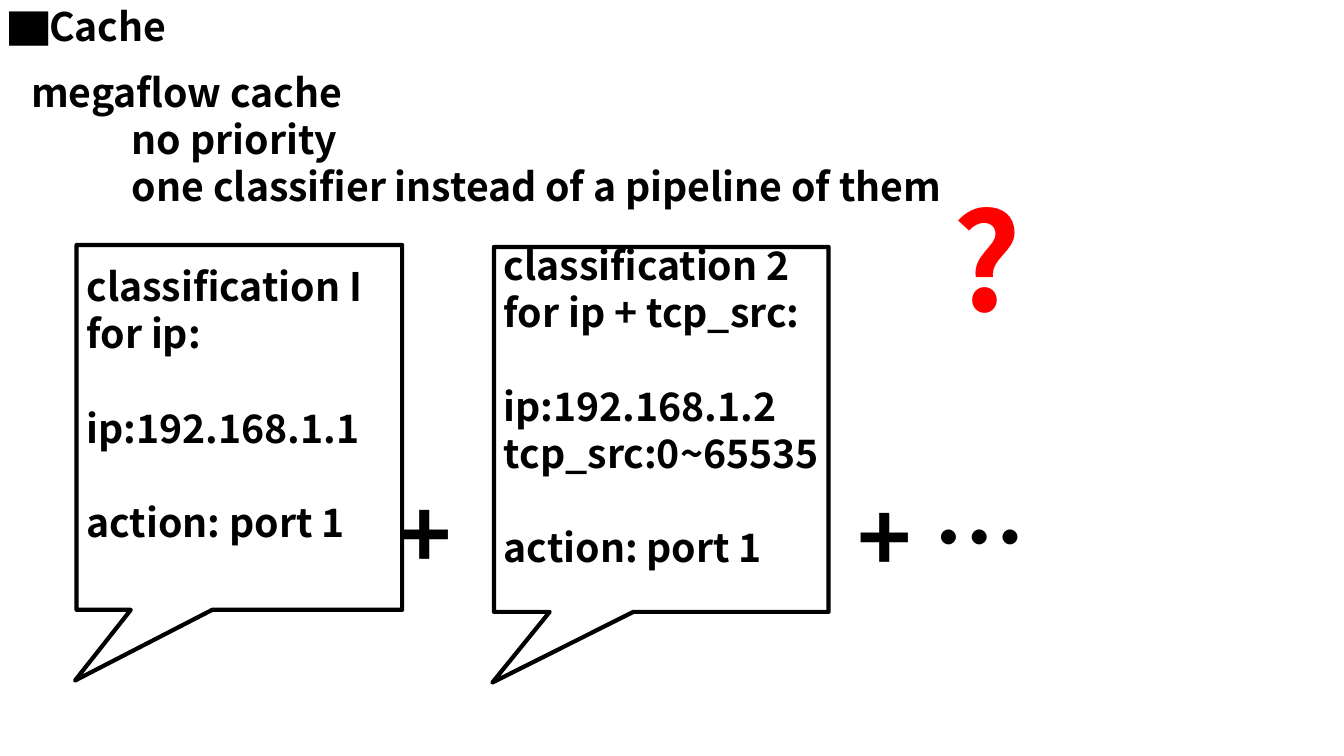
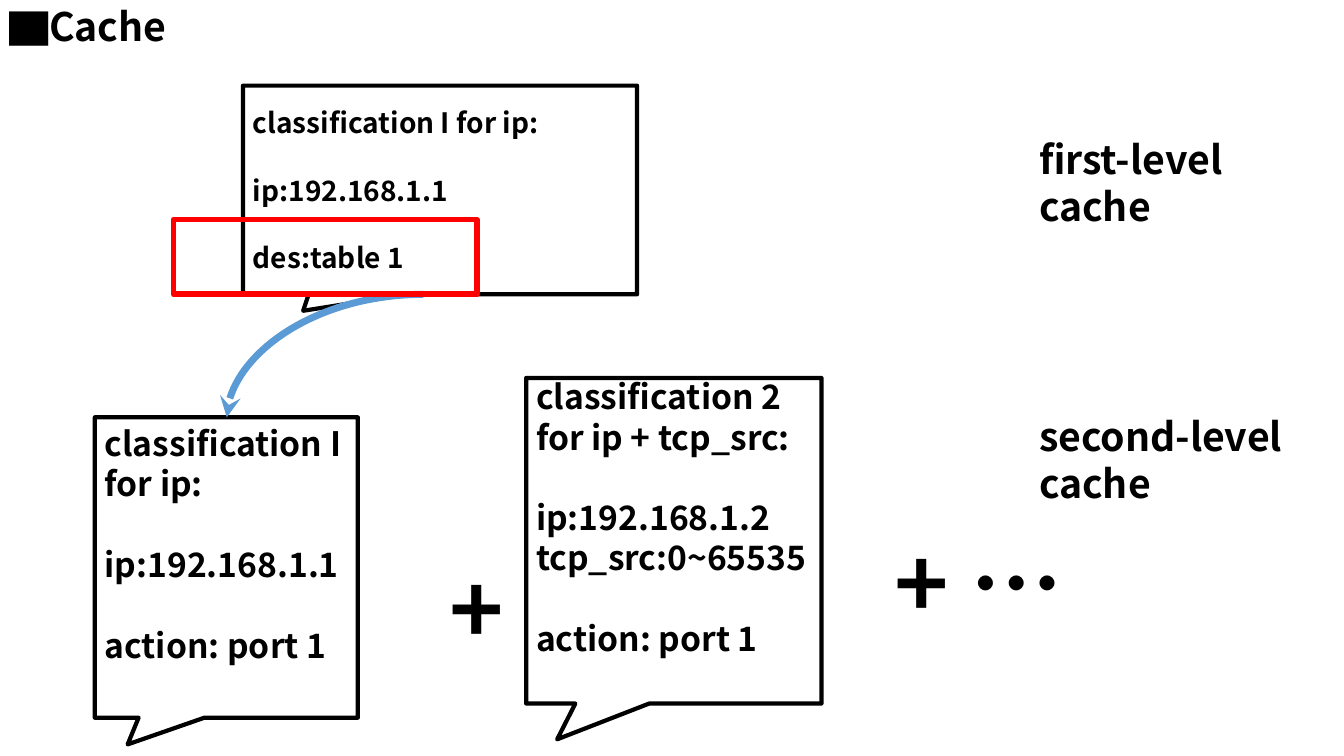
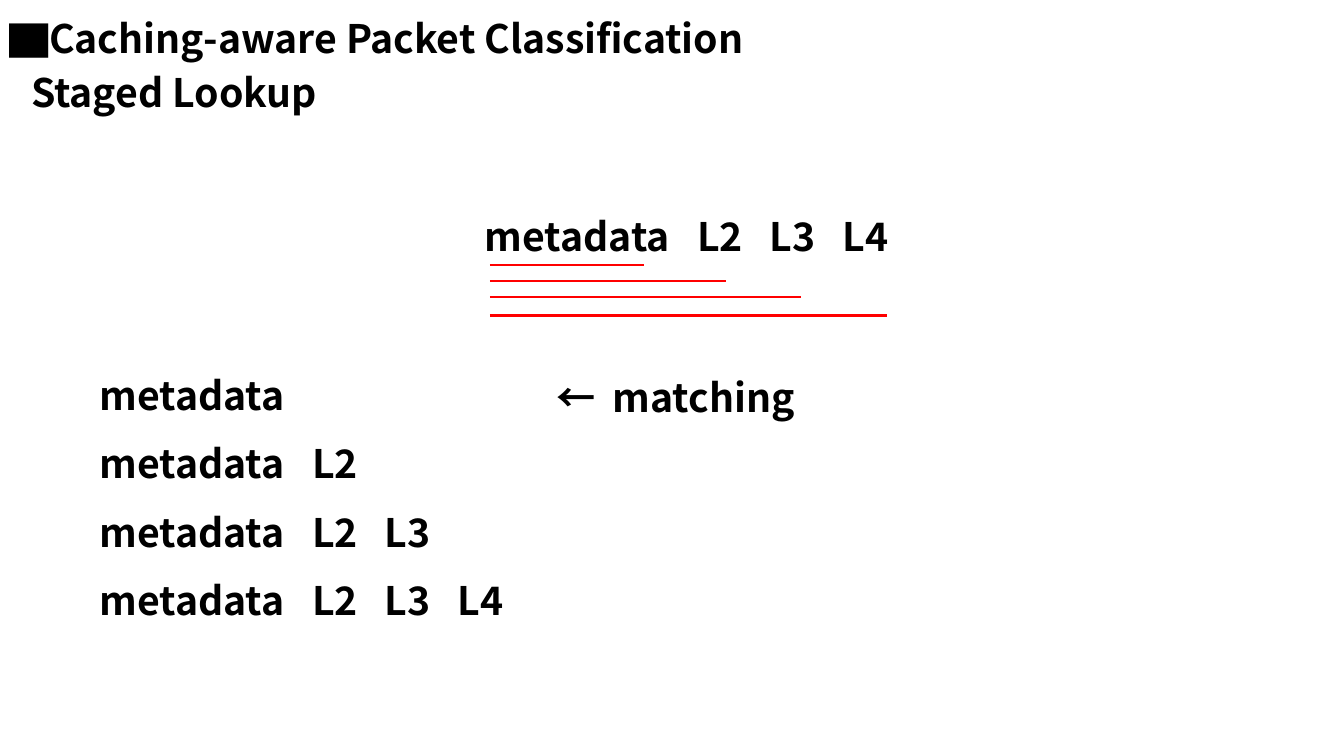
from pptx import Presentation
from pptx.dml.color import RGBColor
from pptx.enum.dml import MSO_LINE
from pptx.enum.shapes import MSO_CONNECTOR, MSO_SHAPE
from pptx.enum.text import MSO_ANCHOR, MSO_AUTO_SIZE, PP_ALIGN
from pptx.oxml.ns import qn
from pptx.util import Inches, Pt
from lxml.etree import SubElement

COLOR = {"ink": "000000", "paper": "FFFFFF", "alert": "FF0000", "arrow": "5B9BD5"}
FONT = "Noto Sans CJK SC"
LEAD = 1.2  # line height as a share of the text size
BODY = 28
STAGES = ["metadata", "L2", "L3", "L4"]
STOPS = [21.1 + 7.2 * i for i in range(3)]

# Callout texts; None marks an open line
FIRST = ["classification I for ip:", None, "ip:192.168.1.1", None, "action: port 1"]
SECOND = ["classification 2 for ip + tcp_src:", None, "ip:192.168.1.2",
          "tcp_src:0~65535", None, "action: port 1"]
JUMP = FIRST[:-1] + ["des:table 1"]


def cell(*counts):
    """Turn columns or rows of the 0.1 inch slide grid into lengths."""
    return [Inches(n / 10) for n in counts]


def rgb(name):
    return RGBColor.from_string(COLOR[name])


def style(para, size, color="ink", indent=0, stops=()):
    """Set the font, left indent and tab stops of a paragraph."""
    font = para.font
    font.name, font.size, font.bold = FONT, Pt(size), True
    font.color.rgb = rgb(color)
    props = para._p.get_or_add_pPr()
    base = props.find(qn("a:defRPr"))
    SubElement(base, qn("a:ea"), typeface=FONT)
    if indent:
        props.set("marL", str(cell(indent)[0]))
        props.set("indent", "0")
    if stops:
        tabs = SubElement(props, qn("a:tabLst"))
        for stop in cell(*stops):
            SubElement(tabs, qn("a:tab"), pos=str(stop), algn="l")
        base.addprevious(tabs)


def write(frame, lines, size):
    """Fill a frame, with one line of space in place of each None."""
    gap, para = False, None
    for line in lines:
        if line is None:
            gap = True
            continue
        para = frame.add_paragraph() if para is not None else frame.paragraphs[0]
        para.text = line
        para.alignment = PP_ALIGN.LEFT
        if gap:
            para.space_before = Pt(size * LEAD)
        gap = False
        yield para


def label(slide, box, lines, size=BODY, color="ink", indents=(), stops=()):
    frame = slide.shapes.add_textbox(*cell(*box)).text_frame
    frame.word_wrap = True
    frame.auto_size = MSO_AUTO_SIZE.SHAPE_TO_FIT_TEXT
    for i, para in enumerate(write(frame, lines, size)):
        style(para, size, color, indents[i] if indents else 0, stops)


def outline(slide, kind, box, color, width, fill=None):
    shape = slide.shapes.add_shape(kind, *cell(*box))
    shape.shadow.inherit = False
    if fill:
        shape.fill.solid()
        shape.fill.fore_color.rgb = rgb(fill)
    else:
        shape.fill.background()
    shape.line.color.rgb = rgb(color)
    shape.line.width = Pt(width)
    return shape


def callout(slide, box, lines, size, tip, foot=BODY):
    """Speech box; foot is the text size of the line kept free below."""
    shape = outline(slide, MSO_SHAPE.RECTANGULAR_CALLOUT, box, "ink", 3, "paper")
    shape.adjustments[0], shape.adjustments[1] = tip
    frame = shape.text_frame
    frame.word_wrap = True
    frame.vertical_anchor = MSO_ANCHOR.MIDDLE
    frame.margin_bottom = Inches(0.05) + Pt(foot * LEAD)
    for para in write(frame, lines, size):
        style(para, size)


def link(slide, kind, ends, color, width):
    line = slide.shapes.add_connector(kind, *cell(*ends))
    line.line.color.rgb = rgb(color)
    line.line.width = Pt(width)
    line.line.dash_style = MSO_LINE.SOLID
    SubElement(line._element.spPr, qn("a:effectLst"))
    return line


def page(deck, title, top=-0.3, width=35.3):
    slide = deck.slides.add_slide(deck.slide_layouts[6])
    label(slide, (0, top, width, 5.7), ["▇" + title])
    return slide


def chain(slide, plus, more):
    """Plus signs that join the callouts into an open row."""
    label(slide, (*plus, 6.2, 12.1), ["+"], 66)
    label(slide, (*more, 20.6, 12.1), ["+ …"], 66)


def megaflow(deck):
    slide = page(deck, "Cache")
    label(slide, (2.1, 6.3, 125, 15.1),
          ["megaflow cache", "no priority",
           "one classifier instead of a pipeline of them"], indents=(0, 10, 10))
    tip = (-0.505, 0.694)
    callout(slide, (7.6, 24.3, 32.3, 36.2), FIRST, BODY, tip)
    callout(slide, (49, 24.5, 33.2, 36.2), SECOND, BODY, tip)
    chain(slide, (38.4, 46.8), (84.1, 47.1))
    label(slide, (93.5, 17.1, 11, 17.2), ["?"], 96, "alert")


def levels(deck):
    slide = page(deck, "Cache")
    # Second level
    callout(slide, (9.4, 41.4, 26.1, 29.8), FIRST, 24, (-0.375, 0.589))
    callout(slide, (52.2, 37.5, 29.3, 32.3), SECOND, 24, (-0.395, 0.61))
    chain(slide, (43.6, 54.3), (87.8, 51.7))
    # First level
    callout(slide, (24.1, 8.5, 39.1, 20.7), JUMP, 20, (-0.347, 0.579), foot=0)
    for name, top in (("first", 12.9), ("second", 40.4)):
        label(slide, (102.1, top, 27.8, 10.4), [name + "-level cache"])
    # Jump from the first level to the second
    jump = link(slide, MSO_CONNECTOR.CURVE, (42, 29.2, 22.5, 41.4), "arrow", 5)
    jump._element.spPr.find(qn("a:prstGeom")).set("prst", "curvedConnector2")
    SubElement(jump.line._get_or_add_ln(), qn("a:tailEnd"), type="stealth")
    outline(slide, MSO_SHAPE.RECTANGLE, (17.2, 21.8, 30.1, 7.4), "alert", 4)


def staged(deck):
    slide = page(deck, "Caching-aware Packet Classification", 0.9, 75)
    label(slide, (2.1, 6.3, 129.1, 5.7), ["Staged Lookup"])
    # All fields, with one underline for each stage
    label(slide, (47.1, 20.6, 42.3, 5.7), ["\t".join(STAGES)], stops=STOPS)
    for right, y in ((63.9, 26.3), (72, 27.9), (79.5, 29.5), (88, 31.3)):
        link(slide, MSO_CONNECTOR.STRAIGHT, (48.6, y, right, y), "alert", 1.5)
    # One row for each stage
    for i in range(len(STAGES)):
        label(slide, (8.9, 36.3 + 6.8 * i, 42.3, 5.7),
              ["\t".join(STAGES[:i + 1])], stops=STOPS)
    label(slide, (54.2, 36.5, 31.4, 5.7), ["←\tmatching"], stops=[5.6])


def main():
    deck = Presentation()
    deck.slide_width, deck.slide_height = cell(133.33, 75)
    for build in (megaflow, levels, staged):
        build(deck)
    deck.save("out.pptx")


if __name__ == "__main__":
    main()
